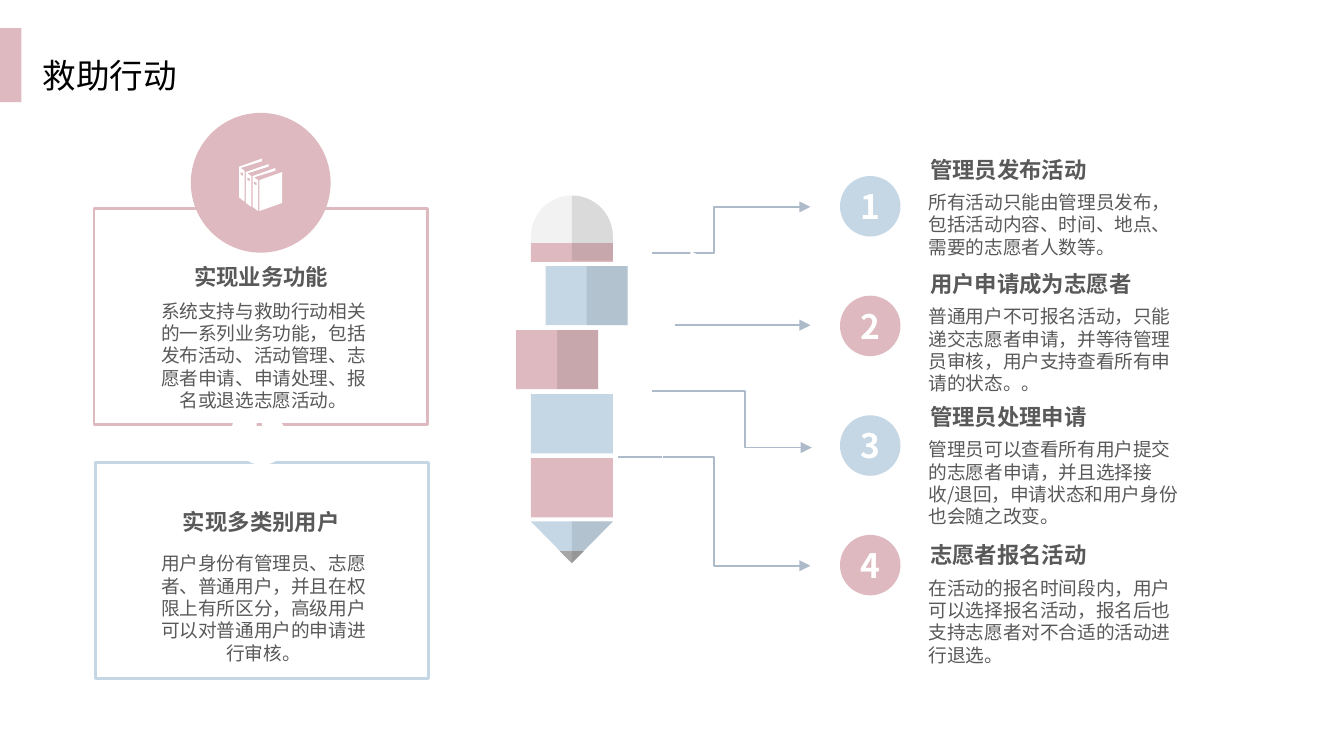
from dataclasses import dataclass
from math import cos, pi, sin

from lxml.etree import SubElement
from pptx import Presentation
from pptx.dml.color import RGBColor
from pptx.enum.shapes import MSO_CONNECTOR as Conn, MSO_SHAPE as Shp
from pptx.enum.text import MSO_ANCHOR as Anchor, PP_ALIGN as Align
from pptx.oxml.ns import qn
from pptx.util import Cm, Pt


@dataclass(frozen=True)
class Theme:
    pink: str = "DEB9BF"
    blue: str = "C5D7E5"
    arrow: str = "ADBACA"
    ink: str = "595959"
    black: str = "000000"
    white: str = "FFFFFF"
    cap: str = "F2F2F2"
    lead: str = "A6A6A6"
    shade: str = "0D0D0D"
    font: str = "Noto Sans CJK SC"
    title_font: str = "Calibri"
    title: int = 18
    head: int = 12
    body: int = 10


@dataclass(frozen=True)
class Step:
    head: str
    body: str
    top: float
    color: str


@dataclass(frozen=True)
class Card:
    head: str
    body: str
    left: float
    top: float
    head_top: float
    body_top: float
    color: str


@dataclass(frozen=True)
class Arrow:
    start: tuple
    end: tuple
    bend: float | None = None


T = Theme()
Points = list[tuple[float, float]]


def u(v: float) -> Cm:
    """Length of v layout units, 2.54 cm each."""
    return Cm(v * 2.54)


def paint(s, fill: str | None, line: str | None = None, alpha: int = 100) -> None:
    s.shadow.inherit = False
    if fill:
        s.fill.solid()
        s.fill.fore_color.rgb = RGBColor.from_string(fill)
        if alpha < 100:
            clr = s._element.spPr.find(qn("a:solidFill"))[0]
            SubElement(clr, qn("a:alpha")).set("val", str(alpha * 1000))
    else:
        s.fill.background()
    if line:
        s.line.color.rgb = RGBColor.from_string(line)
        s.line.width = Pt(1.5)
    else:
        s.line.fill.background()


def add_shape(kind, x: float, y: float, w: float, h: float, fill=None, **kw):
    s = sld.shapes.add_shape(kind, u(x), u(y), u(w), u(h))
    paint(s, fill, **kw)
    return s


def add_outline(contours: list[Points], fill: str, **kw) -> None:
    fb = None
    for pts in contours:
        pts = [(u(x), u(y)) for x, y in pts]
        if fb is None:
            fb = sld.shapes.build_freeform(*pts[0], scale=1.0)
        else:
            fb.move_to(*pts[0])
        fb.add_line_segments(pts[1:], close=True)
    paint(fb.convert_to_shape(), fill, **kw)


def arc(cx: float, cy: float, r: float, start: int, end: int) -> Points:
    """Points on a circle, degrees counted clockwise from the right."""
    angles = [(start + (end - start) * i / 24) * pi / 180 for i in range(25)]
    return [(cx + r * cos(a), cy + r * sin(a)) for a in angles]


def write(tf, text: str, *, size: int, color: str = T.ink, bold: bool = False,
          align=Align.LEFT, font: str = T.font, margins=(0, 0),
          anchor=Anchor.TOP, tight: bool = True) -> None:
    tf.word_wrap = True
    tf.vertical_anchor = anchor
    tf.margin_left = tf.margin_right = u(margins[0])
    tf.margin_top = tf.margin_bottom = u(margins[1])
    p = tf.paragraphs[0]
    p.alignment = align
    if tight:
        p.line_spacing = Pt(size * 1.2)
    r = p.add_run()
    r.text = text
    r.font.size, r.font.bold, r.font.name = Pt(size), bold, font
    r.font.color.rgb = RGBColor.from_string(color)
    SubElement(r._r.rPr, qn("a:ea")).set("typeface", T.font)


def add_text(x: float, y: float, w: float, h: float, text: str, **kw) -> None:
    write(sld.shapes.add_textbox(u(x), u(y), u(w), u(h)).text_frame, text, **kw)


def add_arrow(a: Arrow, color: str, head: str | None = None) -> None:
    kind = Conn.STRAIGHT if a.bend is None else Conn.ELBOW
    s = sld.shapes.add_connector(kind, *map(u, a.start + a.end))
    s.line.color.rgb = RGBColor.from_string(color)
    s.line.width = Pt(1)
    sp_pr = s._element.spPr
    ln = sp_pr.find(qn("a:ln"))
    if head:
        SubElement(ln, qn("a:headEnd")).set("type", head)
    SubElement(ln, qn("a:tailEnd")).set("type", "triangle")
    SubElement(sp_pr, qn("a:effectLst"))
    if a.bend is not None:
        geom = sp_pr.find(qn("a:prstGeom"))
        av = geom.find(qn("a:avLst"))
        av = SubElement(geom, qn("a:avLst")) if av is None else av
        gd = SubElement(av, qn("a:gd"))
        gd.set("name", "adj1")
        gd.set("fmla", f"val {round(a.bend * 100000)}")


def add_step(i: int, step: Step) -> None:
    s = add_shape(Shp.OVAL, 6.25, 1.31 + 0.89 * i, 0.45, 0.45, step.color)
    write(s.text_frame, str(i + 1), size=T.title, color=T.white, bold=True, tight=False,
          align=Align.CENTER, anchor=Anchor.MIDDLE, margins=(0.08, 0.04))
    add_text(6.92, step.top, 1.69, 0.2, step.head, size=T.head, bold=True)
    add_text(6.91, step.top + 0.26, 1.92, 0.67, step.body, size=T.body)


def add_card(c: Card) -> None:
    add_shape(Shp.RECTANGLE, c.left, c.top, 2.48, 1.61, line=c.color)
    fmt = dict(align=Align.CENTER, margins=(0.1, 0.05))
    add_text(1.01, c.head_top, 1.87, 0.31, c.head, size=T.head, bold=True, **fmt)
    add_text(1.04, c.body_top, 1.84, 0.93, c.body, size=T.body, **fmt)


def add_pencil() -> None:
    x, w, h = 3.95, 0.61, 0.44
    half = w / 2
    mid, right = x + half, x + w
    shade = dict(fill=T.shade, alpha=10)
    # Rounded cap and its ring
    add_outline([[(x, 1.84), *arc(mid, 1.76, half, 180, 360), (right, 1.84)]], T.cap)
    add_shape(Shp.RECTANGLE, x, 1.81, w, 0.14, T.pink)
    add_outline([[(mid, 1.94), *arc(mid, 1.76, half, 270, 360), (right, 1.94)]], **shade)
    # Body blocks
    blocks = [(0.11, T.blue, True), (-0.11, T.pink, True),
              (0, T.blue, False), (0, T.pink, False)]
    for i, (dx, color, shaded) in enumerate(blocks):
        y = 1.98 + 1.43 / 3 * i
        add_shape(Shp.RECTANGLE, x + dx, y, w, h, color)
        if shaded:
            add_shape(Shp.RECTANGLE, mid + dx, y, half, h, **shade)
    # Tip
    tip = (mid, 4.19)
    add_outline([[tip, (x, 3.88), (right, 3.88)]], T.blue)
    add_outline([[tip, (mid + 0.09, 4.1), (mid - 0.09, 4.1)]], T.lead)
    add_outline([[tip, (right, 3.88), (mid, 3.88)]], **shade)


def add_books() -> None:
    spine = [(1.95, 1.18), (1.78, 1.24), (1.78, 1.47), (1.82, 1.5),
             (1.82, 1.27), (1.79, 1.25), (1.95, 1.2)]
    label = [(1.81, 1.29), (1.81, 1.31), (1.79, 1.3), (1.79, 1.28)]
    contours = [[(1.93, 1.34), (1.93, 1.57), (2.1, 1.51), (2.1, 1.28)]]
    for dx, dy in [(0, 0), (0.05, 0.04), (0.1, 0.07)]:
        contours += [[(x + dx, y + dy) for x, y in part] for part in (spine, label)]
    add_outline(contours, T.white)


STEPS = [
    Step("管理员发布活动", "所有活动只能由管理员发布，包括活动内容、时间、地点、需要的志愿者人数等。", 1.16, T.blue),
    Step("用户申请成为志愿者", "普通用户不可报名活动，只能递交志愿者申请，并等待管理员审核，用户支持查看所有申请的状态。。", 2.01, T.pink),
    Step("管理员处理申请", "管理员可以查看所有用户提交的志愿者申请，并且选择接收/退回，申请状态和用户身份也会随之改变。", 3, T.blue),
    Step("志愿者报名活动", "在活动的报名时间段内，用户可以选择报名活动，报名后也支持志愿者对不合适的活动进行退选。", 4.03, T.pink),
]
CARDS = [
    Card("实现业务功能", "系统支持与救助行动相关的一系列业务功能，包括发布活动、活动管理、志愿者申请、申请处理、报名或退选志愿活动。", 0.7, 1.55, 1.91, 2.18, T.pink),
    Card("实现多类别用户", "用户身份有管理员、志愿者、普通用户，并且在权限上有所区分，高级用户可以对普通用户的申请进行审核。", 0.71, 3.44, 3.73, 4.06, T.blue),
]
ARROWS = [
    Arrow((4.85, 1.88), (6.03, 1.54), 0.39), Arrow((4.6, 3.4), (6.03, 4.21), 0.5),
    Arrow((4.85, 2.91), (6.04, 3.33), 0.58), Arrow((5.02, 2.42), (6.03, 2.42)),
]
WHITE_ARROWS = [Arrow((4.81, 2.2), (5.22, 1.91), 0.5), Arrow((4.66, 3.14), (5.2, 3.49), 0.5)]

# Widescreen slide, 16:9
prs = Presentation()
prs.slide_width = Cm(25.4)
prs.slide_height = prs.slide_width * 9 // 16
sld = prs.slides.add_slide(prs.slide_layouts[6])

# Title
add_shape(Shp.RECTANGLE, 0, 0.21, 0.16, 0.55, T.pink)
add_text(0.22, 0.36, 2, 0.4, "救助行动", size=T.title, color=T.black,
         font=T.title_font, margins=(0.1, 0.05))

# Steps, arrows and pencil
for i, step in enumerate(STEPS):
    add_step(i, step)
for a in ARROWS:
    add_arrow(a, T.arrow)
add_pencil()
for a in WHITE_ARROWS:
    add_arrow(a, T.white, head="oval")

# Cards with their icons
add_shape(Shp.OVAL, 1.42, 0.84, 1.04, 1.04, T.pink)
for card in CARDS:
    add_card(card)
add_books()
pie = add_shape(Shp.PIE, 1.76, 3.08, 0.38, 0.38, T.white)
pie._element.spPr.find(qn("a:xfrm")).set("flipH", "1")
add_outline([[(1.91, 3.22), *arc(1.91, 3.22, 0.19, 180, 270)]], T.white)

prs.save("out.pptx")
